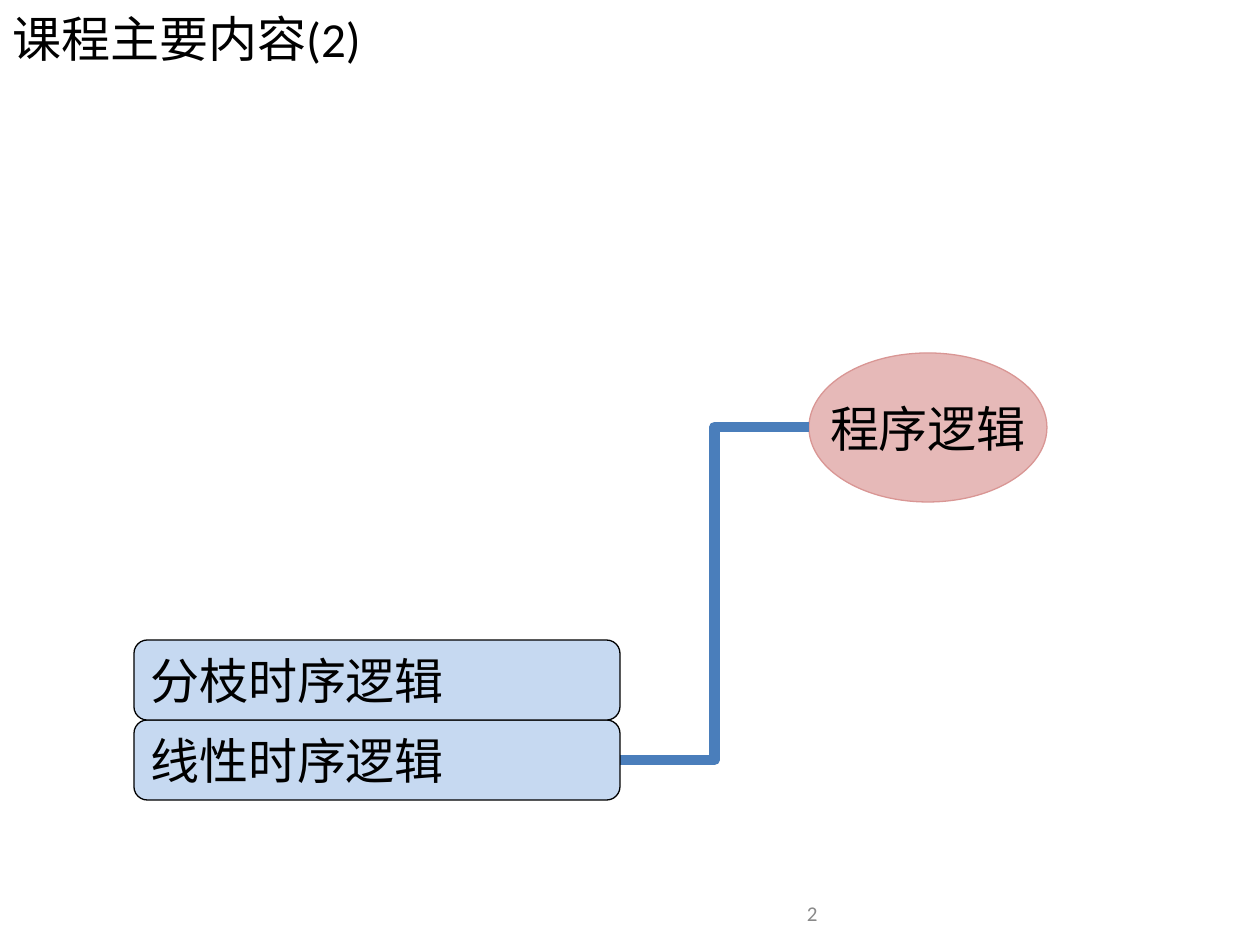
from dataclasses import dataclass

from lxml.etree import SubElement
from pptx import Presentation
from pptx.dml.color import RGBColor
from pptx.enum.shapes import MSO_CONNECTOR, MSO_SHAPE
from pptx.enum.text import MSO_ANCHOR, MSO_AUTO_SIZE, PP_ALIGN
from pptx.oxml.ns import qn
from pptx.util import Emu, Pt

PX_PER_INCH = 126
BLACK = RGBColor(0x00, 0x00, 0x00)
GRAY = RGBColor(0x89, 0x89, 0x89)
PINK = RGBColor(0xE6, 0xB9, 0xB8)
ROSE = RGBColor(0xD9, 0x96, 0x94)
PALE_BLUE = RGBColor(0xC6, 0xD9, 0xF1)
BLUE = RGBColor(0x4A, 0x7E, 0xBB)


@dataclass
class Topic:
    text: str
    shape: MSO_SHAPE
    left: int
    top: int
    width: int
    height: int
    fill: RGBColor
    line: RGBColor
    font: str
    align: PP_ALIGN

    @property
    def middle(self) -> int:
        return self.top + self.height // 2


def px(length: int) -> Emu:
    return Emu(round(length * 914400 / PX_PER_INCH))


def write(frame, text: str, font: str, size: int, color: RGBColor, align: PP_ALIGN) -> None:
    frame.text = text
    paragraph = frame.paragraphs[0]
    paragraph.alignment = align
    paragraph.font.name = font
    paragraph.font.size = Pt(size)
    paragraph.font.color.rgb = color


def draw_topic(slide, topic: Topic) -> None:
    shape = slide.shapes.add_shape(
        topic.shape, px(topic.left), px(topic.top), px(topic.width), px(topic.height))
    shape.shadow.inherit = False
    shape.fill.solid()
    shape.fill.fore_color.rgb = topic.fill
    shape.line.color.rgb = topic.line
    shape.line.width = Pt(0.75)
    frame = shape.text_frame
    frame.word_wrap = False
    frame.vertical_anchor = MSO_ANCHOR.MIDDLE
    write(frame, topic.text, topic.font, 28, BLACK, topic.align)


def draw_link(slide, start: Topic, end: Topic) -> None:
    link = slide.shapes.add_connector(
        MSO_CONNECTOR.ELBOW, px(start.left + start.width), px(start.middle),
        px(end.left), px(end.middle))
    link.line.color.rgb = BLUE
    link.line.width = Pt(6)
    SubElement(link._element.spPr, qn("a:effectLst"))


def temporal_logic(text: str, row: int) -> Topic:
    height = 80
    return Topic(text, MSO_SHAPE.FLOWCHART_ALTERNATE_PROCESS, 134, 640 + row * height,
                 486, height, PALE_BLUE, BLACK, "Arial", PP_ALIGN.LEFT)


def main() -> None:
    deck = Presentation()
    deck.slide_width, deck.slide_height = px(1260), px(945)
    slide = deck.slides.add_slide(deck.slide_layouts[5])

    # Title
    title = slide.shapes.title
    title.left, title.top, title.width, title.height = px(0), px(0), px(1198), px(76)
    title.text_frame.auto_size = MSO_AUTO_SIZE.NONE
    title.text_frame.vertical_anchor = MSO_ANCHOR.MIDDLE
    write(title.text_frame, "课程主要内容(2)", "Calibri", 28, BLACK, PP_ALIGN.LEFT)

    # Page number
    page_number = slide.shapes.add_textbox(px(431), px(876), px(399), px(50)).text_frame
    page_number.word_wrap = True
    page_number.vertical_anchor = MSO_ANCHOR.BOTTOM
    page_number.margin_bottom = 0
    write(page_number, "2", "Calibri", 12, GRAY, PP_ALIGN.RIGHT)

    # Program logic and the temporal logics it builds on
    program = Topic("程序逻辑", MSO_SHAPE.OVAL, 809, 353, 238, 149,
                    PINK, ROSE, "Calibri", PP_ALIGN.CENTER)
    branching = temporal_logic("分枝时序逻辑", 0)
    linear = temporal_logic("线性时序逻辑", 1)
    draw_topic(slide, program)
    draw_link(slide, linear, program)
    for topic in (linear, branching):
        draw_topic(slide, topic)

    deck.save("out.pptx")


if __name__ == "__main__":
    main()
